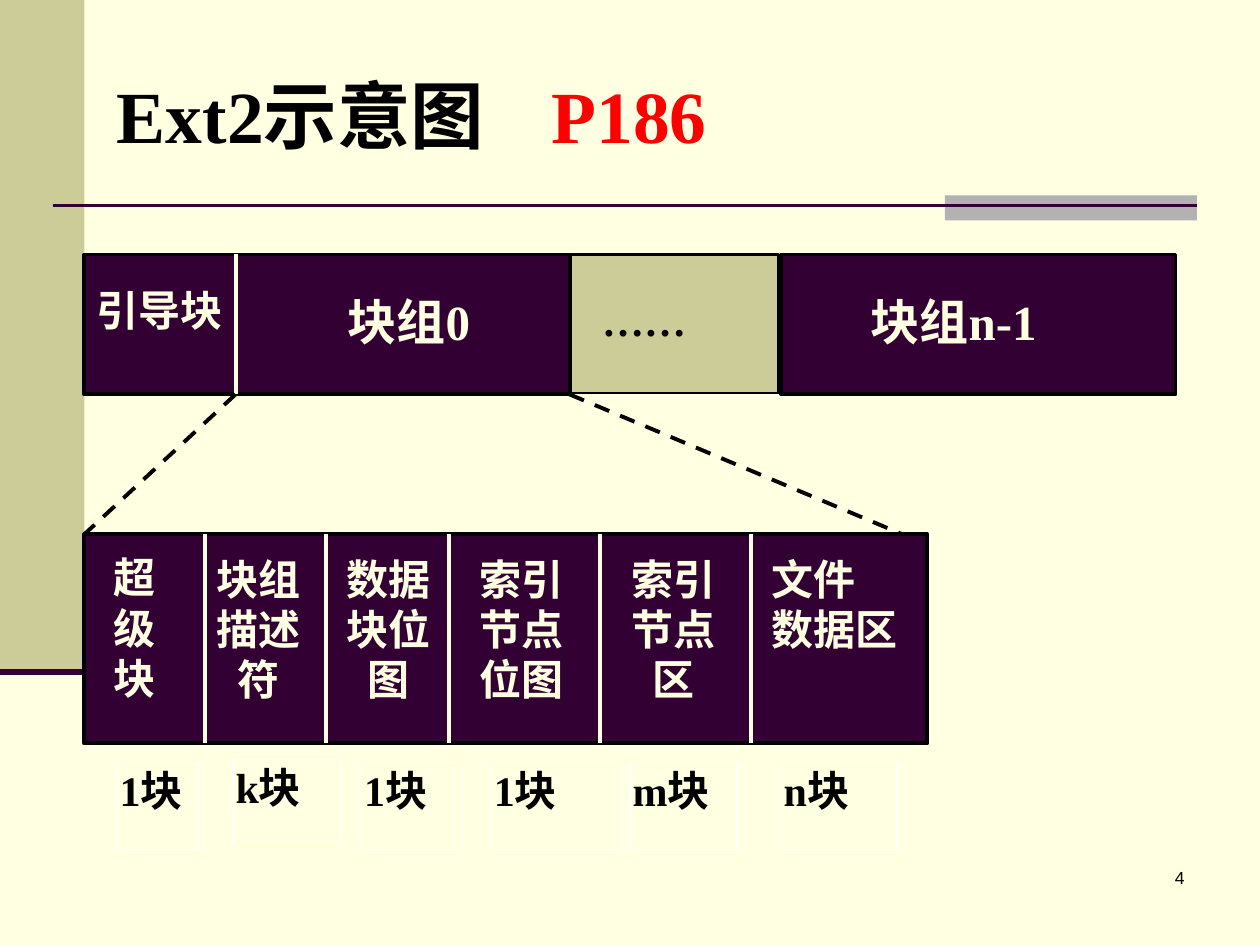
from dataclasses import dataclass

from lxml.etree import SubElement
from pptx import Presentation
from pptx.dml.color import RGBColor
from pptx.enum.dml import MSO_LINE
from pptx.enum.shapes import MSO_CONNECTOR, MSO_SHAPE
from pptx.enum.text import MSO_ANCHOR, PP_ALIGN
from pptx.oxml.ns import qn
from pptx.util import Inches, Pt


@dataclass(frozen=True)
class Theme:
    paper: str = "FFFFE1"
    plum: str = "330033"
    olive: str = "CCCC99"
    gray: str = "B2B2B2"
    black: str = "000000"
    white: str = "FFFFFF"
    red: str = "FF0000"
    serif: str = "Times New Roman"
    sans: str = "Arial"
    title: int = 42
    group: int = 28
    body: int = 24
    small: int = 10
    thin: float = 0.75
    rule: float = 1.5
    thick: float = 2.25
    heavy: float = 3.5


class Diagram:
    """Draws styled elements on a slide divided into 100 columns and 75 rows."""

    def __init__(self, prs, theme):
        self.theme = theme
        self.col, self.row = prs.slide_width / 100, prs.slide_height / 75
        self.s = prs.slides.add_slide(prs.slide_layouts[6])
        self.paint(self.s.background.fill, theme.paper)

    def place(self, x, y):
        return round(x * self.col), round(y * self.row)

    def paint(self, fill, color):
        fill.solid()
        fill.fore_color.rgb = RGBColor.from_string(color)

    def rect(self, x, y, w, h, fill=None, line=None, width=0.75):
        sp = self.s.shapes.add_shape(MSO_SHAPE.RECTANGLE, *self.place(x, y), *self.place(w, h))
        sp.shadow.inherit = False
        if fill:
            self.paint(sp.fill, fill)
        else:
            sp.fill.background()
        if line:
            self.paint(sp.line.fill, line)
            sp.line.width = Pt(width)
        else:
            sp.line.fill.background()
        return sp

    def line(self, x1, y1, x2, y2, color, width, dash=None):
        sp = self.s.shapes.add_connector(MSO_CONNECTOR.STRAIGHT, *self.place(x1, y1), *self.place(x2, y2))
        self.paint(sp.line.fill, color)
        sp.line.width = Pt(width)
        if dash:
            sp.line.dash_style = dash
        SubElement(sp._element.spPr, qn("a:effectLst"))

    def textbox(self, x, y, w, h):
        return self.s.shapes.add_textbox(*self.place(x, y), *self.place(w, h))

    def style(self, font, size, color, name, bold):
        font.size, font.name, font.bold = Pt(size), name, bold
        font.color.rgb = RGBColor.from_string(color)

    def label(self, sp, text, size, color, align=PP_ALIGN.JUSTIFY, inset=(0.02, 0.01)):
        tf = sp.text_frame
        tf.word_wrap, tf.vertical_anchor = True, MSO_ANCHOR.TOP
        tf.margin_left = tf.margin_right = Inches(inset[0])
        tf.margin_top = tf.margin_bottom = Inches(inset[1])
        tf.text = text
        for p in tf.paragraphs:
            p.alignment = align
            self.style(p.font, size, color, self.theme.serif, True)

    def block_text(self, box, text, size, align=PP_ALIGN.JUSTIFY, inset=(0.02, 0.01)):
        sp = self.rect(*box, self.theme.plum, self.theme.plum)
        self.label(sp, text, size, self.theme.paper, align, inset)

    def title(self, text, page, tab):
        t = self.theme
        tf = self.textbox(8.3, 2.8, 85, 12.5).text_frame
        tf.word_wrap, tf.vertical_anchor = True, MSO_ANCHOR.MIDDLE
        p = tf.paragraphs[0]
        tabs = SubElement(p._p.get_or_add_pPr(), qn("a:tabLst"))
        SubElement(tabs, qn("a:tab"), pos=str(Inches(tab)), algn="l")
        for part, color in ((text + "\t", t.black), (page, t.red)):
            r = p.add_run()
            r.text = part
            self.style(r.font, t.title, color, t.serif, True)

    def page_number(self, number):
        t = self.theme
        tf = self.textbox(74.2, 68.3, 20.8, 5).text_frame
        tf.word_wrap = True
        p = tf.paragraphs[0]
        p.text, p.alignment = number, PP_ALIGN.RIGHT
        self.style(p.font, t.small, t.black, t.sans, False)


def main():
    prs = Presentation()
    prs.slide_width, prs.slide_height = Inches(10), Inches(7.5)
    t = Theme()
    d = Diagram(prs, t)
    left, top, bottom = 6.7, 20.2, 31.3
    boot_end, group_end = 18.7, 45.2
    detail_top, detail_bottom = 42.4, 59

    d.rect(0, 0, left, 53.3, t.olive)
    d.rect(75, 15.5, 20, 2, t.gray)
    d.line(4.2, 16.3, 95, 16.3, t.plum, t.rule)
    d.line(0, 53.3, left, 53.3, t.plum, t.heavy)
    d.page_number("4")

    for x, end in ((left, group_end), (62, 93.3)):
        d.rect(x, top, end - x, bottom - top, t.plum, t.black, t.thick)
    d.block_text((7.5, 22.5, 11, 6), "引导块", t.body)
    d.line(boot_end, top, boot_end, bottom, t.paper, t.thick)
    d.block_text((27.4, 23, 13.1, 7), "块组0", t.group)
    d.block_text((68.9, 23, 15.8, 5.6), "块组n-1", t.group)

    sizes = (
        ("1块", 9.3, 60.6, 6.5), ("k块", 18.5, 60.3, 8.5), ("1块", 28.7, 60.6, 8),
        ("1块", 39, 60.6, 10.5), ("m块", 50, 60.6, 8.5), ("n块", 62, 60.6, 9.2),
    )
    for text, x, y, w in sizes:
        d.label(d.rect(x, y, w, 6.8, line=t.white, width=t.thin), text, t.body, t.black)

    d.rect(left, detail_top, 66.9, detail_bottom - detail_top, t.plum, t.black, t.thick)
    justify, center = PP_ALIGN.JUSTIFY, PP_ALIGN.CENTER
    fields = (
        ("超\n级\n块", 9, 5.5, 14.2, justify, (0, 0)),
        ("块组描述\n符", 16.9, 7.2, 13.5, center, (0.02, 0.01)),
        ("数据块位图", 26.1, 9.4, 13.6, center, (0.02, 0.01)),
        ("索引节点位图", 36.6, 9.6, 12.6, center, (0.02, 0.01)),
        ("索引节点区", 49.2, 8.5, 12.8, center, (0.02, 0.01)),
        ("文件\n数据区", 61, 11.8, 12.3, justify, (0.02, 0.01)),
    )
    for text, x, w, h, align, inset in fields:
        d.block_text((x, 43.8, w, h), text, t.body, align, inset)
    for x in (16.3, 25.9, 35.6, 47.6, 59.6):
        d.line(x, detail_top, x, detail_bottom, t.paper, t.thick)
    for x1, x2 in ((boot_end, left), (group_end, 71.6)):
        d.line(x1, bottom, x2, detail_top, t.black, t.thick, MSO_LINE.DASH)

    d.title("Ext2示意图", "P186", 3.45)
    d.rect(45.3, top, 16.5, 11, t.olive, t.black, t.rule)
    d.label(d.textbox(47.6, 23.3, 12, 5.6), "……", t.body, t.black)
    prs.save("out.pptx")


if __name__ == "__main__":
    main()
